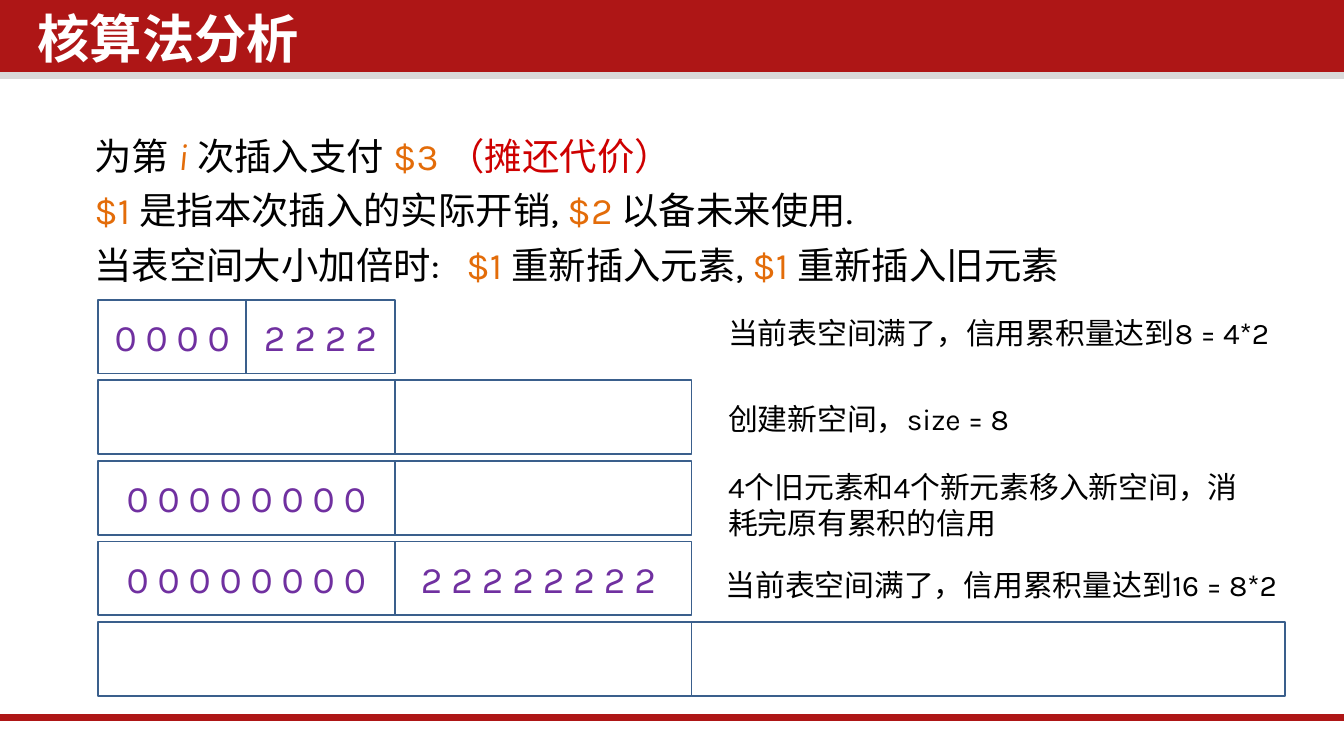
"""Build the slide on the accounting analysis of a doubling table."""
from dataclasses import dataclass

from lxml import etree
from pptx import Presentation
from pptx import util as u
from pptx.dml.color import RGBColor
from pptx.enum import shapes, text
from pptx.oxml import ns

RED = RGBColor(0xAE, 0x16, 0x16)
GREY = RGBColor(0xD9, 0xD9, 0xD9)
WHITE = RGBColor(0xFF, 0xFF, 0xFF)
BLACK = RGBColor(0, 0, 0)
ORANGE = RGBColor(0xE3, 0x6C, 0x09)
BRIGHT_RED = RGBColor(0xCE, 0, 0)
PURPLE = RGBColor(0x70, 0x30, 0xA0)
BLUE = RGBColor(0x3A, 0x5F, 0x8C)

BODY_FONT = "Karla"
TITLE_FONT = "Noto Sans CJK SC"
LEFT, TOP, UNIT, PITCH, HEIGHT = 52.5, 160.5, 79.5, 43.2, 39.6
SPACED = {"line_spacing": 0.9, "space_before": u.Pt(7.5)}


@dataclass(frozen=True)
class Span:
    words: str
    color: RGBColor = BLACK
    italic: bool = False


@dataclass(frozen=True)
class TableRow:
    units: int
    cells: tuple[str, str] = ("", "")


@dataclass(frozen=True)
class Note:
    words: str
    left: float
    top: float
    width: float
    height: float


STATEMENTS = (
    (Span("为第 "), Span("i", ORANGE, True), Span(" 次插入支付 "),
     Span("$3 ", ORANGE), Span("（摊还代价）", BRIGHT_RED)),
    (Span("$1 ", ORANGE), Span("是指本次插入的实际开销, "),
     Span("$2 ", ORANGE), Span("以备未来使用.")),
    (Span("当表空间大小加倍时:   "), Span("$1 ", ORANGE), Span("重新插入元素, "),
     Span("$1 ", ORANGE), Span("重新插入旧元素")),
)
ROWS = (
    TableRow(1, ("0 0 0 0 ", "2 2 2 2 ")),
    TableRow(2),
    TableRow(2, ("0 0 0 0 0 0 0 0", "")),
    TableRow(2, ("0 0 0 0 0 0 0 0", "2 2 2 2 2 2 2 2 ")),
    TableRow(4),
)
NOTES = (
    Note("当前表空间满了，信用累积量达到8 = 4*2", 383, 165, 333, 26.6),
    Note("创建新空间，size = 8", 383, 211, 289, 26.6),
    Note("4个旧元素和4个新元素移入新空间，消耗完原有累积的信用", 383, 247.7, 289, 46),
    Note("当前表空间满了，信用累积量达到16 = 8*2", 381.6, 300.2, 333, 26.6),
)


def apply(target, values: dict) -> None:
    for name, value in values.items():
        setattr(target, name, value)


def write(para, span: Span, size: float, font: str = BODY_FONT, bold: bool = False) -> None:
    run = para.add_run()
    run.text = span.words
    run.font.color.rgb = span.color
    apply(run.font, {"name": font, "size": u.Pt(size), "bold": bold, "italic": span.italic})
    east_asian = etree.SubElement(run.font._element, ns.qn("a:ea"))
    east_asian.set("typeface", font)


def draw_box(page, left: float, top: float, width: float, height: float,
             fill: RGBColor, line: RGBColor | None = None):
    box = page.shapes.add_shape(shapes.MSO_SHAPE.RECTANGLE, *map(u.Pt, (left, top, width, height)))
    box.shadow.inherit = False
    box.fill.solid()
    box.fill.fore_color.rgb = fill
    if line is None:
        box.line.fill.background()
    else:
        box.line.color.rgb = line
        box.line.width = u.Pt(1)
    return box


def draw_frame(page) -> None:
    draw_box(page, 0, 36, 720, 6.3, GREY)
    draw_box(page, 0, 0, 720, 38.6, RED)
    rule = page.shapes.add_connector(
        shapes.MSO_CONNECTOR.STRAIGHT, *map(u.Pt, (0, 384.5, 720, 384.5)))
    rule.line.color.rgb = RED
    rule.line.width = u.Pt(4)
    etree.SubElement(rule._element.spPr, ns.qn("a:effectLst"))


def draw_title(page, words: str) -> None:
    title = page.shapes.title
    page.shapes._spTree.append(title._element)
    apply(title, {"left": u.Pt(15), "top": u.Pt(4.3), "width": u.Pt(550), "height": u.Pt(42.5)})
    apply(title.text_frame, {
        "margin_left": u.Pt(5.2), "margin_right": u.Pt(5.2),
        "margin_top": u.Pt(2.7), "margin_bottom": u.Pt(2.7),
        "vertical_anchor": text.MSO_ANCHOR.TOP,
        "auto_size": text.MSO_AUTO_SIZE.NONE, "word_wrap": True})
    para = title.text_frame.paragraphs[0]
    apply(para, SPACED | {"alignment": text.PP_ALIGN.LEFT})
    write(para, Span(words, WHITE), 28, TITLE_FONT, True)


def draw_statements(page) -> None:
    box = page.shapes.add_textbox(*map(u.Pt, (43.5, 70.5, 641.5, 281.5)))
    frame = box.text_frame
    frame.word_wrap = True
    for index, spans in enumerate(STATEMENTS):
        para = frame.add_paragraph() if index else frame.paragraphs[0]
        apply(para, SPACED)
        indent = para._p.get_or_add_pPr()
        indent.set("marL", str(u.Pt(13.5)))
        indent.set("indent", str(-u.Pt(13.5)))
        for span in spans:
            write(para, span, 20)


def draw_row(page, index: int, row: TableRow) -> None:
    width = row.units * UNIT
    for column, words in enumerate(row.cells):
        box = draw_box(page, LEFT + column * width, TOP + index * PITCH, width, HEIGHT, WHITE, BLUE)
        if words:
            box.text_frame.vertical_anchor = text.MSO_ANCHOR.MIDDLE
            para = box.text_frame.paragraphs[0]
            para.alignment = text.PP_ALIGN.CENTER
            write(para, Span(words, PURPLE), 20)


def draw_note(page, note: Note) -> None:
    box = page.shapes.add_textbox(*map(u.Pt, (note.left, note.top, note.width, note.height)))
    apply(box.text_frame, {"word_wrap": True, "auto_size": text.MSO_AUTO_SIZE.SHAPE_TO_FIT_TEXT})
    write(box.text_frame.paragraphs[0], Span(note.words), 16)


def main() -> None:
    deck = Presentation()
    apply(deck, {"slide_width": u.Pt(720), "slide_height": u.Pt(405)})
    page = deck.slides.add_slide(deck.slide_layouts.get_by_name("Title Only"))
    draw_frame(page)
    draw_title(page, "核算法分析")
    draw_statements(page)
    for index, row in enumerate(ROWS):
        draw_row(page, index, row)
    for note in NOTES:
        draw_note(page, note)
    deck.save("out.pptx")


if __name__ == "__main__":
    main()
